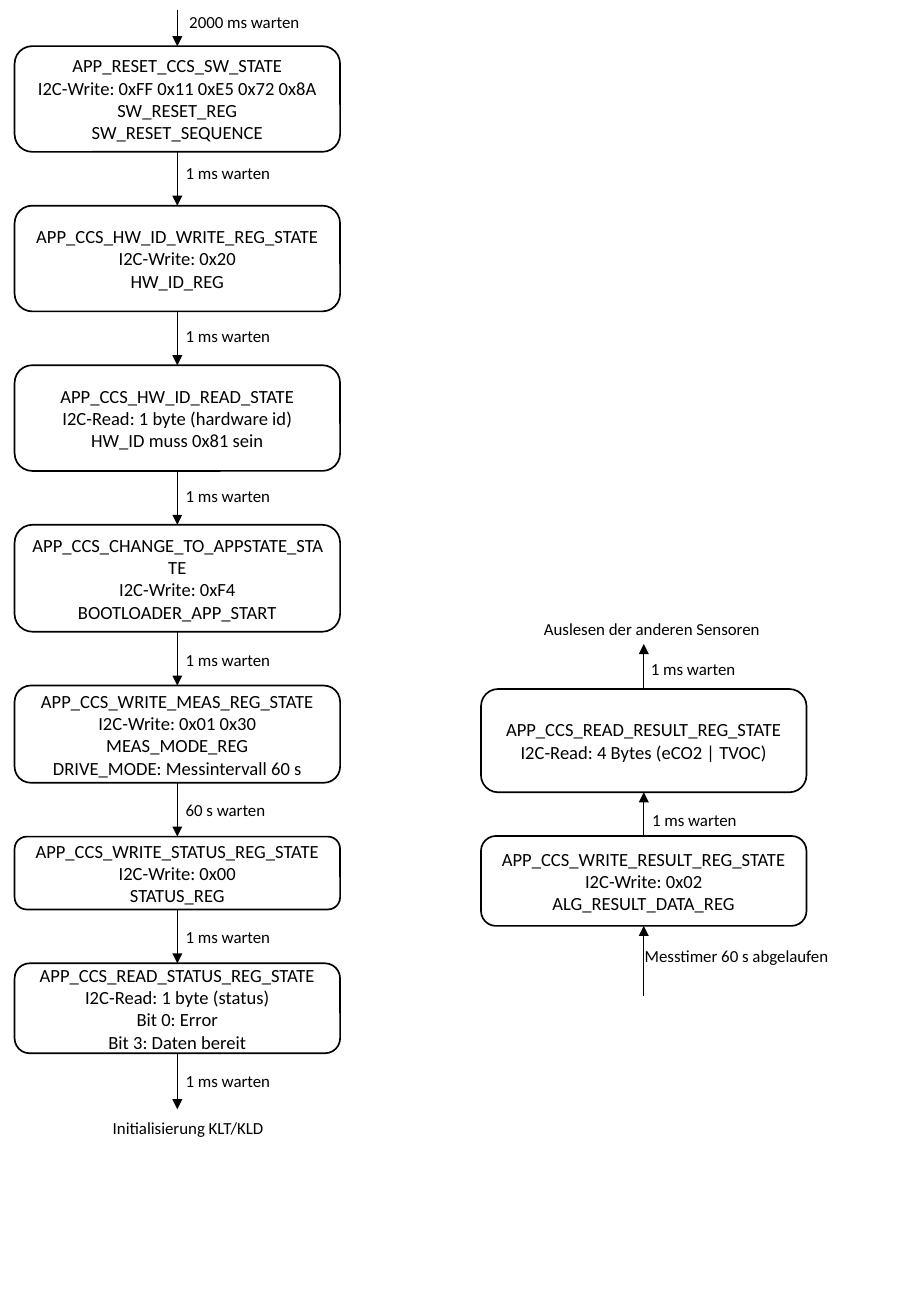
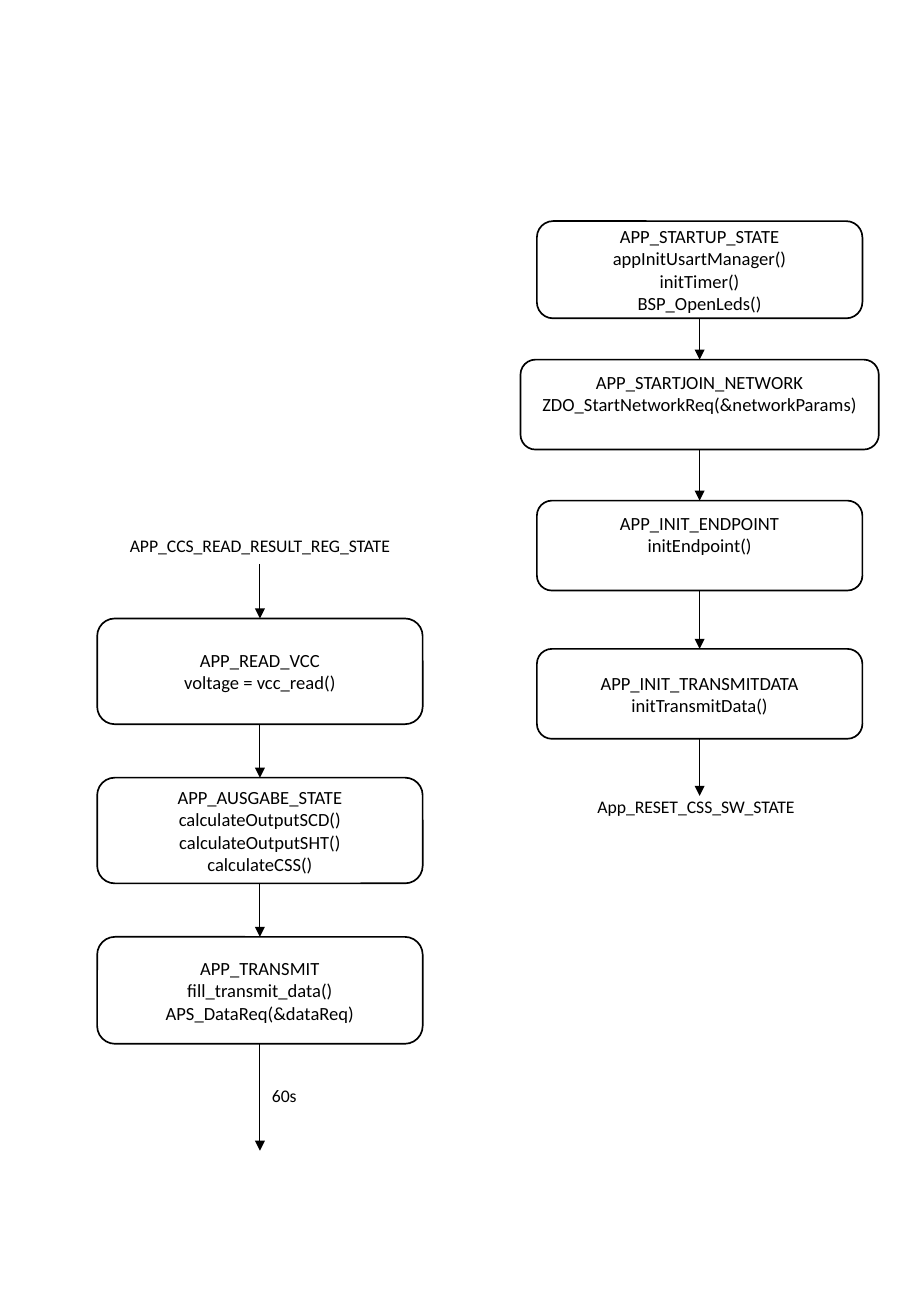
from dataclasses import dataclass
from lxml.etree import SubElement
from pptx import Presentation
from pptx.dml.color import RGBColor
from pptx.enum.shapes import MSO_CONNECTOR, MSO_SHAPE
from pptx.enum.text import MSO_ANCHOR, MSO_AUTO_SIZE, PP_ALIGN
from pptx.oxml.ns import qn
from pptx.util import Inches, Pt


@dataclass(frozen=True)
class Theme:
    font: str = "Calibri"
    ink: RGBColor = RGBColor(0, 0, 0)
    paper: RGBColor = RGBColor(255, 255, 255)
    state_size: float = 11
    box_line: float = 1
    arrow_line: float = 0.5


@dataclass
class State:
    height: float
    text: str
    width: float = 26.8
    bottom: float = 0.5  # lower text margin, in rows


@dataclass
class Flow:
    center: float
    top: float
    gaps: list
    lead: float  # length of the arrow into the first state, 0 for none
    leave: float  # length of the arrow out of the last state
    states: list  # from top to bottom
    up: bool = False


theme = Theme()
prs = Presentation()
prs.slide_width, prs.slide_height = Inches(7.5), Inches(10.83)

# Grid: 75 columns by 108.3 rows
COL = prs.slide_width / 75
ROW = prs.slide_height / 108.3


def write(sp, text, size, align=PP_ALIGN.LEFT, anchor=MSO_ANCHOR.TOP, bottom=0.5):
    tf = sp.text_frame
    tf.word_wrap = True
    tf.vertical_anchor = anchor
    tf.margin_bottom = round(bottom * ROW)
    for i, line in enumerate(text.split("\n")):
        p = tf.paragraphs[0] if i == 0 else tf.add_paragraph()
        p.alignment = align
        r = p.add_run()
        r.text = line
        r.font.name, r.font.size = theme.font, Pt(size)
        r.font.color.rgb = theme.ink


def arrow(s, x, y1, y2, begin=None, end=None):
    """Draw an arrow; begin and end are (shape, connection site) pairs."""
    c = s.shapes.add_connector(MSO_CONNECTOR.STRAIGHT, round(x * COL), round(y1 * ROW),
                               round(x * COL), round(y2 * ROW))
    if begin:
        c.begin_connect(*begin)
    if end:
        c.end_connect(*end)
    c.line.color.rgb, c.line.width = theme.ink, Pt(theme.arrow_line)
    SubElement(c.line._get_or_add_ln(), qn("a:tailEnd"), type="triangle")
    SubElement(c._element.spPr, qn("a:effectLst"))


# Content: per slide the label size, the flows and the labels (text, column, row, width)
WAIT = "1 ms warten"
slides = [
    (10, [
        Flow(14.6, 3.8, [4.43] * 6, 3, 4.6, [
            State(8.7, "APP_RESET_CCS_SW_STATE\nI2C-Write: 0xFF 0x11 0xE5 0x72 0x8A\n"
                       "SW_RESET_REG\nSW_RESET_SEQUENCE"),
            State(8.7, "APP_CCS_HW_ID_WRITE_REG_STATE\nI2C-Write: 0x20\nHW_ID_REG"),
            State(8.7, "APP_CCS_HW_ID_READ_STATE\nI2C-Read: 1 byte (hardware id)\n"
                       "HW_ID muss 0x81 sein"),
            State(8.8, "APP_CCS_CHANGE_TO_APPSTATE_STATE\nI2C-Write: 0xF4\n"
                       "BOOTLOADER_APP_START"),
            State(8, "APP_CCS_WRITE_MEAS_REG_STATE\nI2C-Write: 0x01 0x30\n"
                     "MEAS_MODE_REG\nDRIVE_MODE: Messintervall 60 s"),
            State(6, "APP_CCS_WRITE_STATUS_REG_STATE\nI2C-Write: 0x00\nSTATUS_REG"),
            State(7.4, "APP_CCS_READ_STATUS_REG_STATE\nI2C-Read: 1 byte (status)\n"
                       "Bit 0: Error\nBit 3: Daten bereit"),
        ]),
        Flow(53, 56.7, [3.6], 5.8, 3.7, [
            State(8.5, "APP_CCS_READ_RESULT_REG_STATE\nI2C-Read: 4 Bytes (eCO2 | TVOC)"),
            State(7.4, "APP_CCS_WRITE_RESULT_REG_STATE\nI2C-Write: 0x02\n"
                       "ALG_RESULT_DATA_REG"),
        ], up=True),
    ], [
        ("2000 ms warten", 14.6, 0.5, 20),
        *[(WAIT, 14.3, y, 20) for y in (12.9, 26.3, 39.5, 53, 75.8, 87.6)],
        ("60 s warten", 14.3, 65.3, 20),
        ("Initialisierung KLT/KLD", 8.3, 91.5, 30),
        ("Auslesen der anderen Sensoren", 43.8, 50.4, 30),
        (WAIT, 52.6, 53.7, 10.2),
        (WAIT, 52.7, 66.1, 20),
        ("Messtimer 60 s abgelaufen", 52.1, 77.3, 20),
    ]),
    (10.5, [
        Flow(21.4, 50.9, [4.4] * 2, 4.5, 8.8, [
            State(8.7, "APP_READ_VCC\nvoltage = vcc_read()"),
            State(8.7, "APP_AUSGABE_STATE\ncalculateOutputSCD()\n"
                       "calculateOutputSHT()\ncalculateCSS()"),
            State(8.8, "APP_TRANSMIT\nfill_transmit_data()\nAPS_DataReq(&dataReq)"),
        ]),
        Flow(57.6, 18.2, [3.4, 4.2, 4.8], 0, 4.7, [
            State(8, "APP_STARTUP_STATE\nappInitUsartManager()\ninitTimer()\nBSP_OpenLeds()"),
            State(7.4, "APP_STARTJOIN_NETWORK\nZDO_StartNetworkReq(&networkParams)",
                  width=29.5, bottom=2.4),
            State(7.4, "APP_INIT_ENDPOINT\ninitEndpoint()", bottom=2.4),
            State(7.4, "APP_INIT_TRANSMITDATA\ninitTransmitData()"),
        ]),
    ], [
        ("APP_CCS_READ_RESULT_REG_STATE", 9.7, 43.5, 25.1),
        ("60s", 21.4, 88.8, 16.1),
        ("App_RESET_CSS_SW_STATE", 48.2, 65, 22.8),
    ]),
]

for label_size, flows, labels in slides:
    s = prs.slides.add_slide(prs.slide_layouts[6])

    for flow in flows:
        # State boxes, stacked from the top
        boxes = []
        y = flow.top
        for state, gap in zip(flow.states, flow.gaps + [0]):
            sp = s.shapes.add_shape(
                MSO_SHAPE.ROUNDED_RECTANGLE, round((flow.center - state.width / 2) * COL),
                round(y * ROW), round(state.width * COL), round(state.height * ROW))
            sp.shadow.inherit = False
            sp.fill.solid()
            sp.fill.fore_color.rgb = theme.paper
            sp.line.color.rgb, sp.line.width = theme.ink, Pt(theme.box_line)
            write(sp, state.text, theme.state_size, align=PP_ALIGN.CENTER,
                  anchor=MSO_ANCHOR.MIDDLE, bottom=state.bottom)
            boxes.append((sp, y, y + state.height))
            y += state.height + gap

        # Arrows in the direction of the flow
        if flow.up:
            chain = [(sp, low, high) for sp, high, low in reversed(boxes)]
            sign, enter, leave = -1, 2, 0
        else:
            chain, sign, enter, leave = boxes, 1, 0, 2
        first, start, _ = chain[0]
        last, _, stop = chain[-1]
        if flow.lead:
            arrow(s, flow.center, start - sign * flow.lead, start, end=(first, enter))
        for (a, _, y1), (b, y2, _) in zip(chain, chain[1:]):
            arrow(s, flow.center, y1, y2, begin=(a, leave), end=(b, enter))
        arrow(s, flow.center, stop, stop + sign * flow.leave, begin=(last, leave))

    # Labels beside the arrows and at the ends of the flows
    for text, x, y, width in labels:
        sp = s.shapes.add_textbox(round(x * COL), round(y * ROW),
                                  round(width * COL), round(2.7 * ROW))
        write(sp, text, label_size)
        sp.text_frame.auto_size = MSO_AUTO_SIZE.SHAPE_TO_FIT_TEXT

prs.save("out.pptx")
